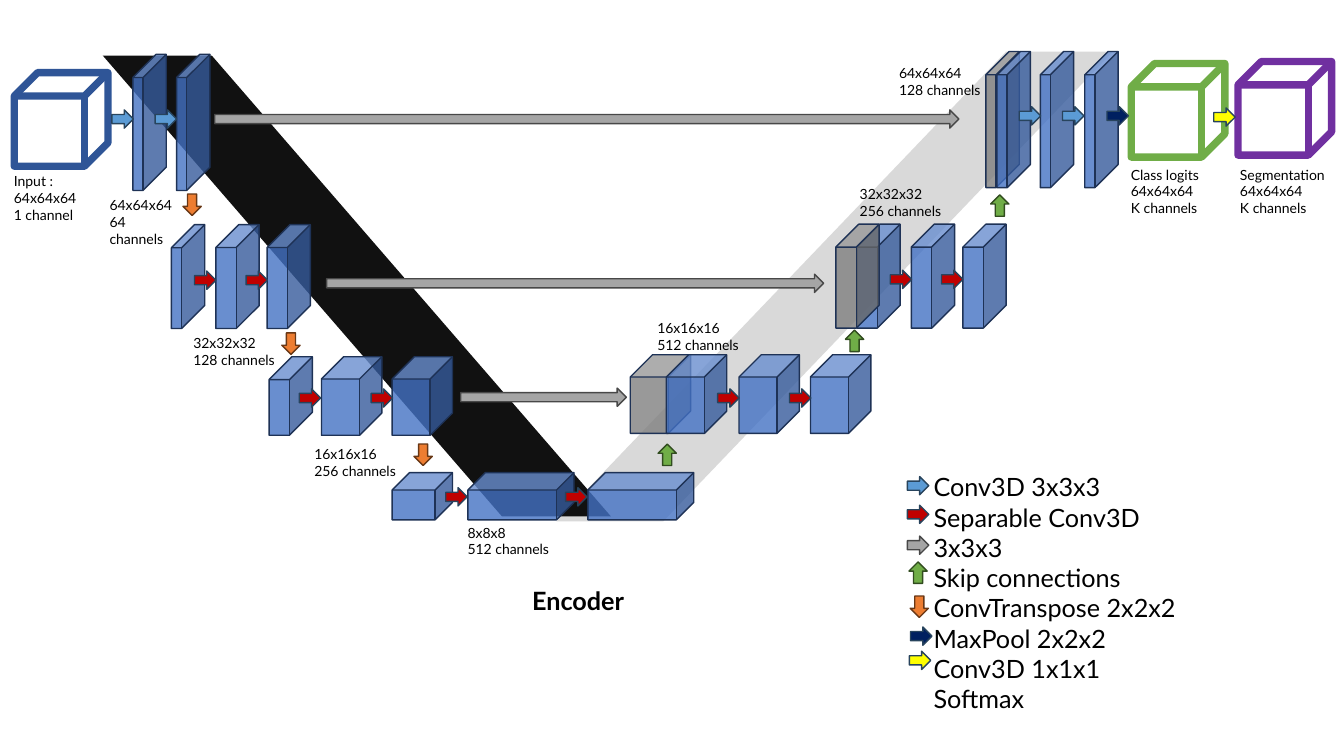
from lxml import etree
from pptx import Presentation
from pptx.dml.color import RGBColor
from pptx.enum.shapes import MSO_SHAPE as SHAPE
from pptx.enum.text import PP_ALIGN as ALIGN
from pptx.oxml.ns import qn
from pptx.util import Cm, Pt

FONT = "Lato"
BLUE, GREY = "4472C4", "808080"

# block width, height and depth ratio, in cm
THIN64 = (0.84, 3.43, 0.697)
THIN32, WIDE32 = (0.84, 2.62, 0.697), (1.09, 2.62, 0.53)
THIN16, WIDE16 = (1.09, 1.98, 0.53), (1.52, 1.98, 0.369)
THIN8, WIDE8 = (1.52, 1.19, 0.369), (2.67, 1.19, 0.369)

# block, fill, top, lefts
BLOCKS = [
    (THIN64, BLUE, 1.37, [3.35, 4.45]),
    (THIN32, BLUE, 5.66, [4.32]),
    (WIDE32, BLUE, 5.66, [5.44, 6.73]),
    (THIN16, BLUE, 8.99, [6.78]),
    (WIDE16, BLUE, 8.99, [8.1, 9.88]),
    (THIN8, BLUE, 11.91, [9.88]),
    (WIDE8, BLUE, 11.91, [11.79, 14.81]),
    (WIDE16, GREY, 8.94, [15.88]),
    (WIDE16, BLUE, 8.94, [16.79, 18.62, 20.42]),
    (WIDE32, BLUE, 5.65, [21.59, 22.96, 24.26]),
    (WIDE32, GREY, 5.65, [21.06]),
    (THIN64, GREY, 1.3, [24.84]),
    (THIN64, BLUE, 1.3, [25.12, 26.21, 27.33]),
]

# fill, line, rotation, (left, top) of each arrow; the last one is the legend key
ARROWS = [
    ("5B9BD5", "28445D", 0,
     [(2.82, 2.77), (3.91, 2.77), (25.68, 2.69), (26.77, 2.69), (22.86, 12.01)]),
    ("C00000", "28445D", 0,
     [(4.9, 6.83), (6.2, 6.83), (7.54, 9.8), (9.35, 9.8), (11.23, 12.29),
      (14.25, 12.29), (18.08, 9.8), (19.89, 9.8), (22.43, 6.81), (23.72, 6.81),
      (22.86, 12.73)]),
    ("70AD47", "314C1F", 270,
     [(16.54, 11.23), (21.26, 8.36), (24.92, 4.95), (22.86, 14.2)]),
    ("ED7D31", "683715", 90,
     [(4.57, 4.93), (7.06, 8.43), (10.39, 11.23), (22.89, 15.06)]),
    ("002060", "28445D", 0, [(27.89, 2.69), (22.94, 15.8)]),
    ("FFFF00", "28445D", 0, [(30.58, 2.72), (22.91, 16.41)]),
]

# left, top, width; the last one is the legend key
SKIPS = [(5.41, 2.77, 18.75), (8.23, 6.91, 12.52), (11.61, 9.78, 4.17),
         (22.86, 13.51, 0.54)]

FRAMES = [("2F5597", 0.36, 1.83), ("70AD47", 28.5, 1.6), ("7030A0", 31.19, 1.55)]

# left, top, width, lines
LABELS = [
    (0.1, 4.22, 3.05, ["Input : 64x64x64", "1 channel"]),
    (2.51, 4.83, 2.29, ["64x64x64", "64 channels"]),
    (4.62, 8.31, 3.05, ["32x32x32", "128 channels"]),
    (7.67, 11.1, 3.05, ["16x16x16", "256 channels"]),
    (11.53, 13.08, 3.05, ["8x8x8", "512 channels"]),
    (16.31, 7.92, 3.05, ["16x16x16", "512 channels"]),
    (21.41, 4.55, 2.92, ["32x32x32", "256 channels"]),
    (22.4, 1.5, 2.92, ["64x64x64", "128 channels"]),
    (28.24, 4.06, 2.92, ["Class logits", "64x64x64", "K channels"]),
    (30.99, 4.06, 2.92, ["Segmentation", "64x64x64", "K channels"]),
]

LEGEND = ["Conv3D 3x3x3", "Separable Conv3D 3x3x3", "Skip connections",
          "ConvTranspose 2x2x2", "MaxPool 2x2x2", "Conv3D 1x1x1", "Softmax"]


def rgb(color):
    return RGBColor.from_string(color)


def add_shape(slide, kind, x, y, w, h, fill=None, line=None, weight=1, adj=None):
    sp = slide.shapes.add_shape(kind, Cm(x), Cm(y), Cm(w), Cm(h))
    sp.shadow.inherit = False
    if fill:
        sp.fill.solid()
        sp.fill.fore_color.rgb = rgb(fill)
    else:
        sp.fill.background()
    if line:
        sp.line.color.rgb = rgb(line)
        sp.line.width = Pt(weight)
    else:
        sp.line.fill.background()
    if adj is not None:
        sp.adjustments[0] = adj
    return sp


def add_block(slide, block, fill, x, y):
    """Draw a feature map as a cube with an 80 % opaque fill."""
    w, h, depth = block
    sp = add_shape(slide, SHAPE.CUBE, x, y, w, h, fill, "1E3256", adj=depth)
    clr = sp._element.spPr.find(qn("a:solidFill"))[0]
    etree.SubElement(clr, qn("a:alpha"), val="80000")


def add_arrow(slide, x, y, fill, line, w=0.54, rotation=0):
    sp = add_shape(slide, SHAPE.RIGHT_ARROW, x, y, w, 0.46, fill, line)
    sp.rotation = rotation


def add_text(slide, lines, x, y, w, h, size=10, bold=False, align=ALIGN.LEFT):
    tf = slide.shapes.add_textbox(Cm(x), Cm(y), Cm(w), Cm(h)).text_frame
    tf.word_wrap = True
    for i, line in enumerate(lines):
        p = tf.add_paragraph() if i else tf.paragraphs[0]
        p.alignment = align
        r = p.add_run()
        r.text = line
        r.font.name = FONT
        r.font.size = Pt(size)
        r.font.bold = bold
        r.font.color.rgb = rgb("000000")


def add_bands(slide):
    """Draw the two slanted bands that form the V behind the blocks."""
    add_shape(slide, SHAPE.PARALLELOGRAM, 14.02, 1.3, 14.02, 11.84, "D9D9D9", adj=0.957)
    encoder = add_shape(slide, SHAPE.PARALLELOGRAM, 2.59, 1.4, 12.8, 11.61, "111111",
                        adj=0.866)
    encoder._element.spPr.find(qn("a:xfrm")).set("flipH", "1")


def main():
    prs = Presentation()
    prs.slide_width, prs.slide_height = Cm(33.86), Cm(19.05)
    slide = prs.slides.add_slide(prs.slide_layouts[6])

    add_bands(slide)
    for color, x, y in FRAMES:
        add_shape(slide, SHAPE.CUBE, x, y, 2.36, 2.36, line=color, weight=5.25)
    for block, fill, y, lefts in BLOCKS:
        for x in lefts:
            add_block(slide, block, fill, x, y)
    for x, y, w in SKIPS:
        add_arrow(slide, x, y, "A5A5A5", "484848", w=w)
    for fill, line, rotation, places in ARROWS:
        for x, y in places:
            add_arrow(slide, x, y, fill, line, rotation=rotation)
    for x, y, w, lines in LABELS:
        add_text(slide, lines, x, y, w, 0.25 + 0.42 * len(lines))
    add_text(slide, ["Encoder"], 12.29, 14.63, 4.55, 1.02, size=18, bold=True,
             align=ALIGN.CENTER)
    add_text(slide, LEGEND, 23.27, 11.76, 7.55, 5.54, size=18)
    prs.save("out.pptx")


if __name__ == "__main__":
    main()
